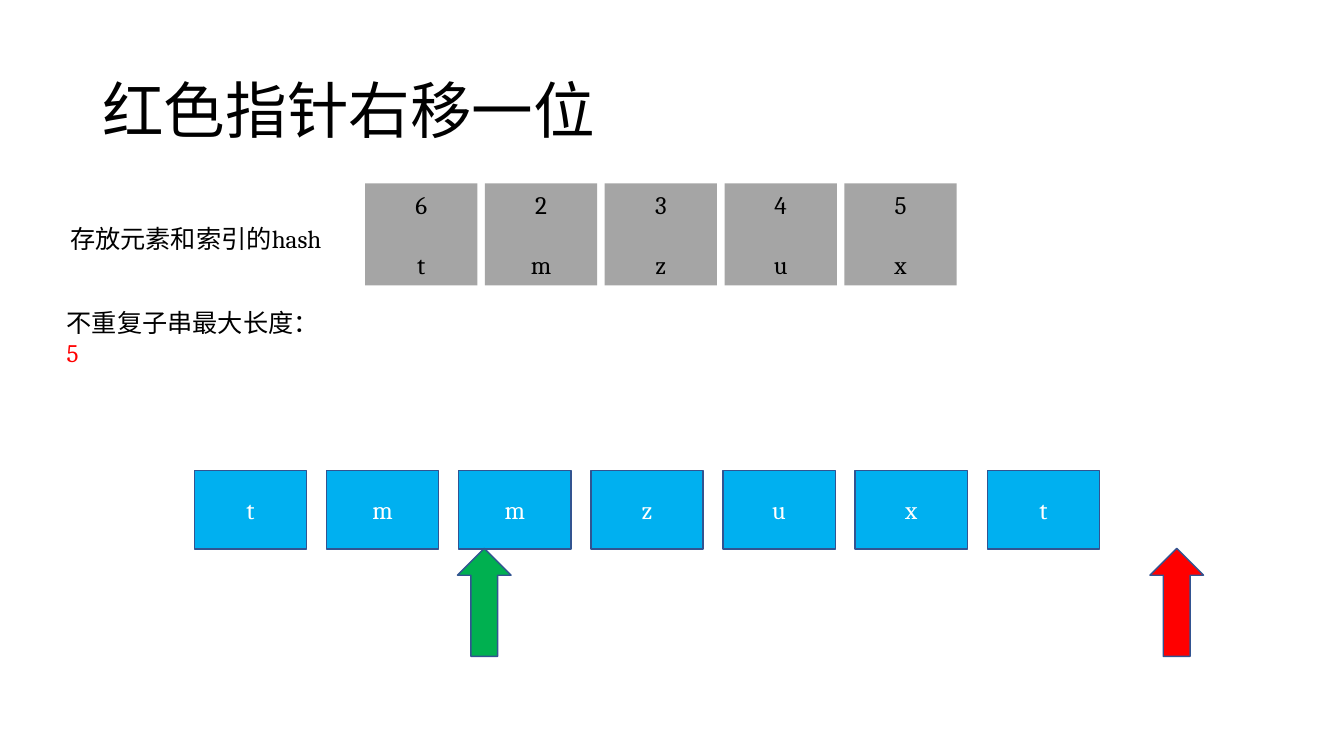
import pptx
import pptx.util
import pptx.dml.color
import pptx.enum.shapes
import pptx.enum.text

Cm = pptx.util.Cm
Pt = pptx.util.Pt
SHAPES = pptx.enum.shapes.MSO_SHAPE
ANCHOR = pptx.enum.text.MSO_ANCHOR
CENTER = pptx.enum.text.PP_ALIGN.CENTER

FONT = "Cambria"
BLACK, WHITE, RED, GREEN = "000000", "FFFFFF", "FF0000", "00B050"
BLUE, GRAY, OUTLINE = "00B0F0", "A5A5A5", "325491"

TITLE = "红色指针右移一位"
HASH_LABEL = "存放元素和索引的hash"
LENGTH_LABEL, LENGTH = "不重复子串最大长度：", "5"
HASH_ENTRIES = [("6", "t"), ("2", "m"), ("3", "z"), ("4", "u"), ("5", "x")]
LETTERS = "tmmzuxt"
POINTERS = [(28.98, RED), (11.53, GREEN)]  # left edge in cm, colour

CELL_WIDTH = 2.83
HASH_LEFT, HASH_TOP, HASH_HEIGHT, HASH_STEP = 9.2, 4.62, 2.57, 3.02
LETTER_LEFT, LETTER_TOP, LETTER_HEIGHT, LETTER_STEP = 4.9, 11.86, 1.98, 3.33
POINTER_TOP, POINTER_WIDTH, POINTER_HEIGHT = 13.82, 1.35, 2.72


def rgb(value):
    """Turn a hex string into a colour."""
    return pptx.dml.color.RGBColor.from_string(value)


def format_runs(paragraph, color, size=18):
    """Set font, size and colour of every run in a paragraph."""
    for run in paragraph.runs:
        run.font.name = FONT
        run.font.size = Pt(size)
        run.font.color.rgb = rgb(color)


def add_block(slide, kind, box, fill, outline=None):
    """Add a filled preset shape; box is left, top, width, height in cm."""
    shape = slide.shapes.add_shape(kind, *map(Cm, box))
    shape.shadow.inherit = False
    shape.fill.solid()
    shape.fill.fore_color.rgb = rgb(fill)
    if outline:
        shape.line.color.rgb = rgb(outline)
        shape.line.width = Pt(1)
    else:
        shape.line.fill.background()
    return shape


def add_cell(slide, box, lines, fill, color, outline=None):
    """Add a rectangle with centred lines, one blank line's height apart."""
    shape = add_block(slide, SHAPES.RECTANGLE, box, fill, outline)
    frame = shape.text_frame
    frame.text = "\n".join(lines)
    frame.vertical_anchor = ANCHOR.MIDDLE
    for index, paragraph in enumerate(frame.paragraphs):
        paragraph.alignment = CENTER
        if index:
            paragraph.space_before = Pt(21.4)
        format_runs(paragraph, color)


def add_label(slide, box, text, size=18):
    """Add a black text box and return its text frame."""
    frame = slide.shapes.add_textbox(*map(Cm, box)).text_frame
    frame.word_wrap = True
    frame.text = text
    format_runs(frame.paragraphs[0], BLACK, size)
    return frame


presentation = pptx.Presentation()
presentation.slide_width = Cm(33.87)
presentation.slide_height = Cm(19.05)
slide = presentation.slides.add_slide(presentation.slide_layouts[6])

for index, letter in enumerate(LETTERS):
    left = LETTER_LEFT + index * LETTER_STEP
    add_cell(slide, (left, LETTER_TOP, CELL_WIDTH, LETTER_HEIGHT), [letter],
             BLUE, WHITE, OUTLINE)

for left, color in POINTERS:
    add_block(slide, SHAPES.UP_ARROW,
              (left, POINTER_TOP, POINTER_WIDTH, POINTER_HEIGHT), color, OUTLINE)

for index, entry in enumerate(HASH_ENTRIES):
    left = HASH_LEFT + index * HASH_STEP
    add_cell(slide, (left, HASH_TOP, CELL_WIDTH, HASH_HEIGHT), entry, GRAY, BLACK)

add_label(slide, (1.52, 5.5, 7.4, 1.03), HASH_LABEL)

length_paragraph = add_label(slide, (1.43, 7.62, 7.26, 1.03),
                             LENGTH_LABEL).paragraphs[0]
length_paragraph.add_line_break()
length_run = length_paragraph.add_run()
length_run.text = LENGTH
format_runs(length_paragraph, BLACK)
length_run.font.color.rgb = rgb(RED)

title_frame = add_label(slide, (2.33, 1.01, 29.21, 3.68), TITLE, 44)
title_frame.vertical_anchor = ANCHOR.MIDDLE
title_frame.paragraphs[0].line_spacing = 0.9

presentation.save("out.pptx")
